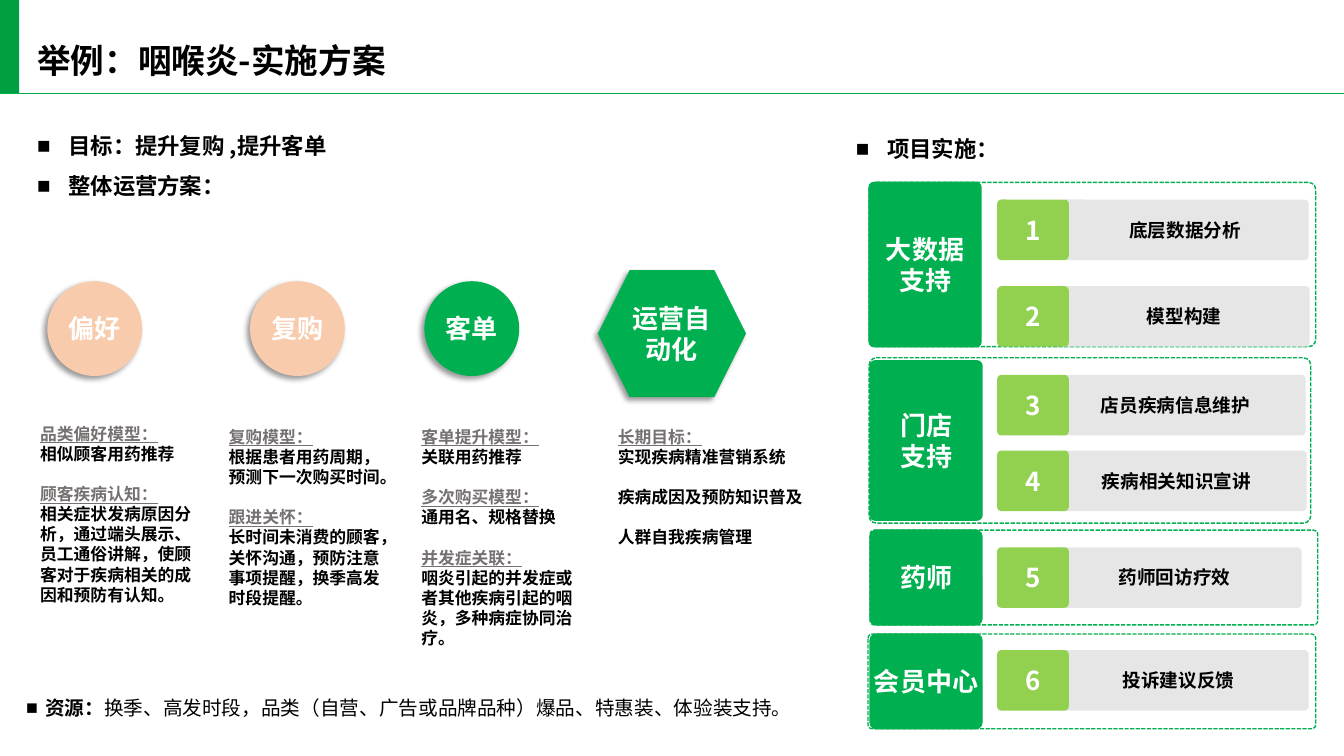
from dataclasses import dataclass

from lxml.etree import SubElement
from pptx import Presentation
from pptx.dml.color import RGBColor
from pptx.enum.dml import MSO_LINE
from pptx.enum.shapes import MSO_CONNECTOR, MSO_SHAPE
from pptx.enum.text import MSO_ANCHOR, MSO_AUTO_SIZE, PP_ALIGN
from pptx.oxml import parse_xml
from pptx.oxml.ns import nsdecls, qn
from pptx.util import Inches, Pt


@dataclass(frozen=True)
class Theme:
    green: str = "00B050"
    accent: str = "029E42"
    lime: str = "92D050"
    peach: str = "F8CBAD"
    bar: str = "E7E6E6"
    heading: str = "767171"
    black: str = "000000"
    white: str = "FFFFFF"
    sans: str = "Noto Sans CJK SC"
    label_font: str = "Arial"
    title: float = 24
    section: float = 16
    resource: float = 14
    body: float = 12
    label: float = 13.3
    badge: float = 18.6


theme = Theme()


def write(frame, paragraphs, size, color=theme.black, font=theme.sans, bullet=None, **layout):
    """Fill a frame with paragraphs, each a (format, [(text, span format)]) pair."""
    settings = {"word_wrap": True, "auto_size": MSO_AUTO_SIZE.NONE,
                "vertical_anchor": MSO_ANCHOR.TOP} | layout
    for name, value in settings.items():
        setattr(frame, name, value)
    for index, (para_format, spans) in enumerate(paragraphs):
        para = frame.paragraphs[0] if index == 0 else frame.add_paragraph()
        if bullet:
            properties = para._p.get_or_add_pPr()
            properties.set("marL", str(Inches(bullet)))
            properties.set("indent", str(-Inches(bullet)))
            SubElement(properties, qn("a:buFont"), typeface="Arial")
            SubElement(properties, qn("a:buChar"), char="■")
        for name, value in para_format.items():
            setattr(para, name, value)
        for text, span_format in spans:
            span = para.add_run()
            span.text = text
            values = {"size": Pt(size), "bold": True, "name": font, "color": color} | span_format
            span.font.color.rgb = RGBColor.from_string(values.pop("color"))
            for name, value in values.items():
                setattr(span.font, name, value)
            SubElement(span._r.get_or_add_rPr(), qn("a:ea"), typeface=theme.sans)


def add_box(kind, bounds, fill=None, line=None, corner=None, dashed=False):
    box = slide.shapes.add_shape(kind, *map(Inches, bounds))
    box.shadow.inherit = False
    if corner:
        box.adjustments[0] = corner
    if fill:
        box.fill.solid()
        box.fill.fore_color.rgb = RGBColor.from_string(fill)
    else:
        box.fill.background()
    if line:
        box.line.color.rgb = RGBColor.from_string(line)
        box.line.width = Pt(1)
        if dashed:
            box.line.dash_style = MSO_LINE.SQUARE_DOT
    else:
        box.line.fill.background()
    return box


centred = {"alignment": PP_ALIGN.CENTER}
no_margins = {f"margin_{side}": 0 for side in ("left", "top", "right", "bottom")}
badge_style = {"size": theme.badge, "color": theme.white,
               "vertical_anchor": MSO_ANCHOR.MIDDLE} | no_margins

deck = Presentation()
deck.slide_width, deck.slide_height = Inches(13.33), Inches(7.5)
slide = deck.slides.add_slide(deck.slide_layouts[5])

# Header
add_box(MSO_SHAPE.RECTANGLE, (0, -0.01, 0.19, 0.94), theme.accent)
rule = slide.shapes.add_connector(MSO_CONNECTOR.STRAIGHT, 0, Inches(0.93), Inches(13.33), Inches(0.93))
rule.line.color.rgb = RGBColor.from_string(theme.green)
rule.line.width = Pt(1)
SubElement(rule._element.spPr, qn("a:effectLst"))

title = slide.shapes.title
title.left, title.top, title.width, title.height = map(Inches, (0.27, 0.35, 4.99, 0.5))
write(title.text_frame, [({"alignment": PP_ALIGN.LEFT}, [("举例：咽喉炎-实施方案", {})])], theme.title)

# Bulleted statements
spaced = {"line_spacing": 1.5}
statements = [
    ((0.27, 1.13, 7.61, 0.91), theme.section, 0.31,
     [(spaced, [("目标：提升复购 ,提升客单", {})]), (spaced, [("整体运营方案：", {})])]),
    ((8.39, 1.29, 3.79, 0.37), theme.section, 0.31, [({}, [("项目实施：", {})])]),
    ((0.16, 6.86, 8.46, 0.34), theme.resource, 0.19,
     [({}, [("资源：", {}),
            ("换季、高发时段，品类（自营、广告或品牌品种）爆品、特惠装、体验装支持。", {"bold": False})])]),
]
for bounds, size, indent, paragraphs in statements:
    box = slide.shapes.add_textbox(*map(Inches, bounds))
    write(box.text_frame, paragraphs, size, bullet=indent)

# Operation stages
circle = MSO_SHAPE.OVAL
stages = [
    ("偏好", circle, (0.47, 2.79, 0.94, 0.94), theme.peach, (0.3, 4.15, 1.8, 2.3), [
        ("品类偏好模型：", "相似顾客用药推荐"),
        ("顾客疾病认知：", "相关症状发病原因分析，通过端头展示、员工通俗讲解，使顾客对于疾病相关的成因和预防有认知。")]),
    ("复购", circle, (2.48, 2.79, 0.94, 0.94), theme.peach, (2.17, 4.18, 1.85, 1.92), [
        ("复购模型：", "根据患者用药周期，预测下一次购买时间。"),
        ("跟进关怀：", "长时间未消费的顾客，关怀沟通，预防注意事项提醒，换季高发时段提醒。")]),
    ("客单", circle, (4.21, 2.79, 0.94, 0.94), theme.green, (4.08, 4.18, 1.85, 2.32), [
        ("客单提升模型：", "关联用药推荐"),
        ("多次购买模型：", "通用名、规格替换"),
        ("并发症关联：", "咽炎引起的并发症或者其他疾病引起的咽炎，多种病症协同治疗。")]),
    ("运营自动化", MSO_SHAPE.HEXAGON, (5.93, 2.68, 1.47, 1.26), theme.green, (6.03, 4.18, 2.13, 1.31), [
        ("长期目标：", "实现疾病精准营销系统"),
        (None, "疾病成因及预防知识普及"),
        (None, "人群自我疾病管理")]),
]
heading_style = {"color": theme.heading, "underline": True}
for name, kind, bounds, fill, text_bounds, entries in stages:
    badge = add_box(kind, bounds, fill)
    effects = badge._element.spPr.find(qn("a:effectLst"))
    effects.append(parse_xml(
        f'<a:outerShdw {nsdecls("a")} blurRad="{Pt(4)}" dist="{Pt(3)}" dir="8100000" rotWithShape="0">'
        f'<a:srgbClr val="{theme.black}"><a:alpha val="40000"/></a:srgbClr></a:outerShdw>'))
    write(badge.text_frame, [(centred, [(name, {})])], **badge_style)

    paragraphs = []
    for heading, body in entries:
        gap = {"space_before": Pt(14.4)} if paragraphs else {}
        if heading:
            paragraphs.append((gap, [(heading, heading_style)]))
            gap = {}
        paragraphs.append((gap, [(body, {})]))
    box = slide.shapes.add_textbox(*map(Inches, text_bounds))
    write(box.text_frame, paragraphs, theme.body)

# Project teams: name lines, tab bounds, tab corner, frame bounds,
# tasks as (text, top, bar left, bar width, right margin)
rounded = MSO_SHAPE.ROUNDED_RECTANGLE
teams = [
    (["大数据", "支持"], (8.62, 1.81, 1.11, 1.63), 0.044, (8.62, 1.81, 4.43, 1.63),
     [("底层数据分析", 1.98, 10.53, 2.45, 0.1), ("模型构建", 2.84, 10.5, 2.49, 0.1)]),
    (["门店", "支持"], (8.63, 3.58, 1.11, 1.58), 0.044, (8.62, 3.55, 4.38, 1.64),
     [("店员疾病信息维护", 3.72, 10.5, 2.45, 0.23), ("疾病相关知识宣讲", 4.47, 10.51, 2.45, 0.23)]),
    (["药师"], (8.63, 5.26, 1.11, 0.94), 0.068, (8.63, 5.26, 4.44, 0.94),
     [("药师回访疗效", 5.43, 10.45, 2.46, 0.16)]),
    (["会员中心"], (8.63, 6.29, 1.11, 0.94), 0.068, (8.61, 6.29, 4.44, 0.94),
     [("投诉建议反馈", 6.45, 10.53, 2.45, 0.23)]),
]
number = 0
for names, tab_bounds, corner, frame_bounds, tasks in teams:
    add_box(rounded, frame_bounds, line=theme.green, corner=0.044, dashed=True)
    tab = add_box(rounded, tab_bounds, theme.green, theme.green, corner)
    write(tab.text_frame, [(centred, [(name, {})]) for name in names], **badge_style)
    for task, top, left, width, right_margin in tasks:
        number += 1
        bar = add_box(rounded, (left, top, width, 0.6), theme.bar, corner=0.068)
        write(bar.text_frame, [(centred, [(task, {})])], theme.label, font=theme.label_font,
              vertical_anchor=MSO_ANCHOR.MIDDLE, margin_right=Inches(right_margin))
        badge = add_box(rounded, (9.89, top, 0.71, 0.6), theme.lime, corner=0.068)
        write(badge.text_frame, [(centred, [(str(number), {})])], **badge_style)

deck.save("out.pptx")
